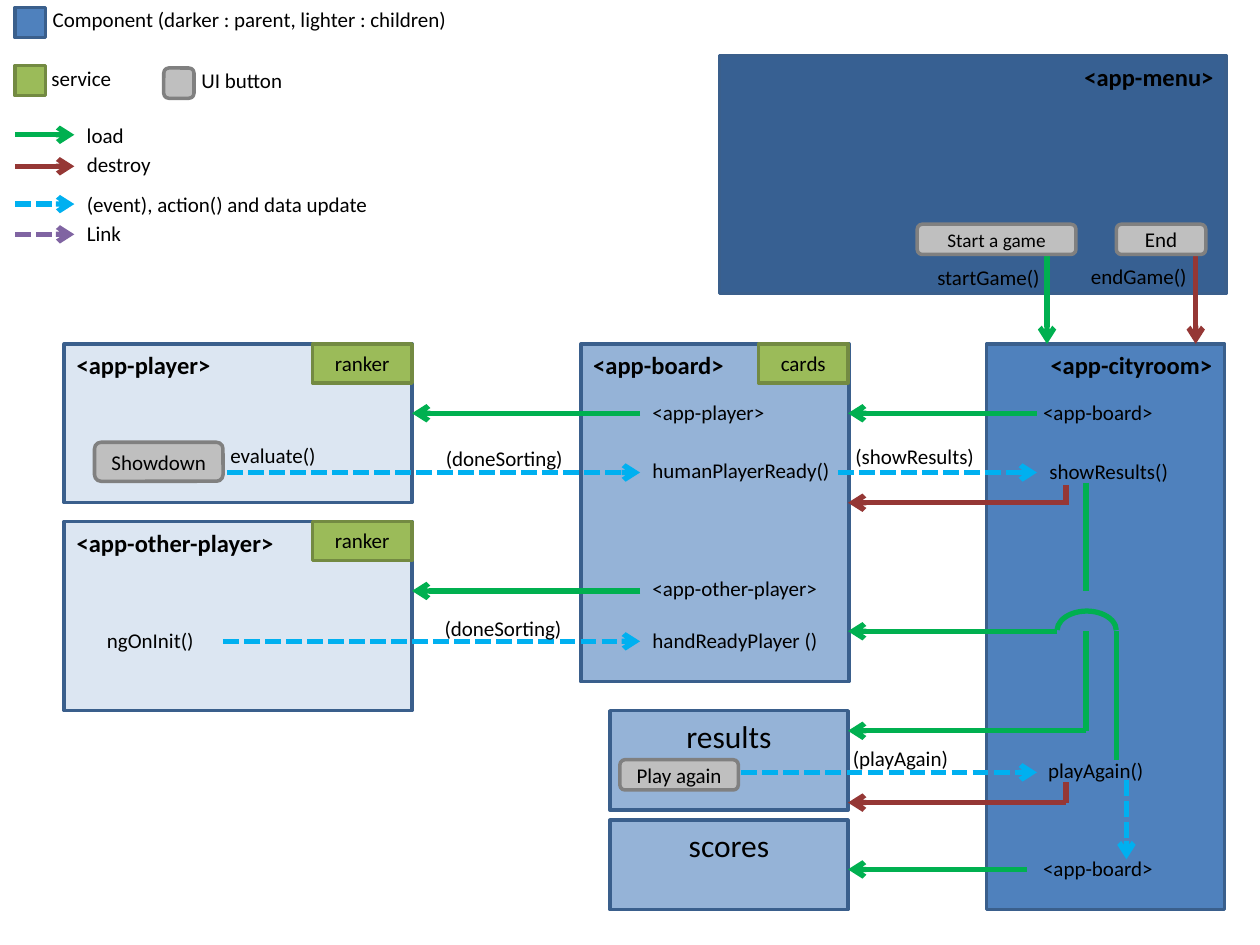
from lxml.etree import SubElement
from pptx import Presentation
from pptx.dml.color import RGBColor
from pptx.enum.dml import MSO_LINE
from pptx.enum.shapes import MSO_CONNECTOR, MSO_SHAPE
from pptx.enum.text import MSO_ANCHOR, MSO_AUTO_SIZE, PP_ALIGN
from pptx.oxml.ns import qn
from pptx.util import Inches, Pt

FONT = "Calibri"
BLACK = RGBColor(0, 0, 0)
MENU = RGBColor(0x37, 0x60, 0x92)
ROOM = RGBColor(0x4F, 0x81, 0xBD)
BOARD = RGBColor(0x95, 0xB3, 0xD7)
PLAYER = RGBColor(0xDC, 0xE6, 0xF2)
BLUE_EDGE = RGBColor(0x3A, 0x5F, 0x8C)
SERVICE = RGBColor(0x9B, 0xBB, 0x59)
SERVICE_EDGE = RGBColor(0x73, 0x8A, 0x42)
BUTTON = RGBColor(0xBF, 0xBF, 0xBF)
BUTTON_EDGE = RGBColor(0x80, 0x80, 0x80)
LOAD = RGBColor(0x00, 0xB0, 0x50)
DESTROY = RGBColor(0x95, 0x37, 0x35)
EVENT = RGBColor(0x00, 0xB0, 0xF0)
LINK = RGBColor(0x80, 0x64, 0xA2)
DASHED = (EVENT, LINK)

LEFT, CENTER, RIGHT = PP_ALIGN.LEFT, PP_ALIGN.CENTER, PP_ALIGN.RIGHT
HEADING = {"size": Pt(14), "bold": True}
PANEL = {"size": Pt(18)}
BODY = {"size": Pt(12)}
SMALL = {"size": Pt(11)}

# Shared edges of the diagram
TOP = 2.73
PLAYER_R, BOARD_R = 3.27, 6.73
BOARD_TEXT, ROOM_TEXT = 5.08, 8.23
KEY_X, KEY_TEXT = 0.12, 0.59
SWATCH = 0.24
LABEL_H = 0.3

# text, left, top, width, height, fill, alignment, font
COMPONENTS = [
    ("<app-cityroom>", 7.83, TOP, 1.89, 4.49, ROOM, RIGHT, HEADING),
    ("results", 4.84, 5.64, 1.89, 0.79, BOARD, CENTER, PANEL),
    ("<app-menu>", 5.71, 0.44, 4.02, 1.89, MENU, RIGHT, HEADING),
    ("", KEY_X, 0.06, SWATCH, SWATCH, ROOM, LEFT, BODY),
    ("<app-board>", 4.61, TOP, 2.13, 2.68, BOARD, LEFT, HEADING),
    ("<app-player>", 0.51, TOP, 2.76, 1.26, PLAYER, LEFT, HEADING),
    ("<app-other-player>", 0.51, 4.14, 2.76, 1.5, PLAYER, LEFT, HEADING),
    ("scores", 4.84, 6.51, 1.89, 0.71, BOARD, CENTER, PANEL),
]
# text, left, top, width, height
SERVICES = [
    ("", KEY_X, 0.52, SWATCH, SWATCH),
    ("ranker", 2.48, TOP, 0.79, 0.31),
    ("cards", 6.02, TOP, 0.71, 0.31),
    ("ranker", 2.48, 4.14, 0.79, 0.31),
]
# text, left, top, width, height, font
BUTTONS = [
    ("", 1.3, 0.54, SWATCH, SWATCH, BODY),
    ("End", 8.86, 1.78, 0.71, 0.24, BODY),
    ("Start a game", 7.28, 1.78, 1.26, 0.24, SMALL),
    ("Showdown", 0.75, 3.51, 1.02, 0.31, BODY),
    ("Play again", 4.92, 6.03, 0.94, 0.24, BODY),
]
# colour, from x, from y, to x, to y
ARROWS = [(color, KEY_X, y, KEY_TEXT, y) for color, y in
          ((LOAD, 1.07), (DESTROY, 1.32), (EVENT, 1.62), (LINK, 1.86))]
ARROWS += [
    (LOAD, 8.31, 2.02, 8.31, TOP),
    (DESTROY, 9.49, 2.02, 9.49, TOP),
    (LOAD, ROOM_TEXT, 3.28, BOARD_R, 3.28),
    (LOAD, BOARD_TEXT, 3.28, PLAYER_R, 3.28),
    (LOAD, BOARD_TEXT, 4.69, PLAYER_R, 4.69),
    (LOAD, 8.15, 6.9, BOARD_R, 6.9),
    (LOAD, 8.62, 5.8, BOARD_R, 5.8),
    (LOAD, 8.39, 5.01, BOARD_R, 5.01),
    (DESTROY, 8.46, 3.99, BOARD_R, 3.99),
    (DESTROY, 8.46, 6.37, BOARD_R, 6.37),
    (EVENT, 1.3, 3.75, BOARD_TEXT, 3.75),
    (EVENT, 6.65, 3.75, ROOM_TEXT, 3.75),
    (EVENT, 1.77, 5.09, BOARD_TEXT, 5.09),
    (EVENT, 5.55, 6.13, ROOM_TEXT, 6.13),
    (EVENT, 8.94, 6.19, 8.94, 6.82),
]
STEMS = [
    (DESTROY, 8.46, 3.85, 8.46, 4.01),
    (DESTROY, 8.46, 6.21, 8.46, 6.37),
    (LOAD, 8.62, 3.83, 8.62, 4.69),
    (LOAD, 8.62, 5.01, 8.62, 5.8),
    (LOAD, 8.86, 5.01, 8.86, 6.03),
]
# text, left, top, width
LABELS = [
    ("Component (darker : parent, lighter : children)", 0.32, 0, 3.35),
    ("service", 0.31, 0.47, 0.68),
    ("UI button", 1.5, 0.49, 0.85),
    ("load", KEY_TEXT, 0.92, 0.5),
    ("destroy", KEY_TEXT, 1.15, 0.71),
    ("(event), action() and data update", KEY_TEXT, 1.47, 2.45),
    ("Link", KEY_TEXT, 1.7, 0.48),
    ("startGame()", 7.34, 2.05, 1.02),
    ("endGame()", 8.56, 2.04, 0.97),
    ("<app-board>", 8.18, 3.12, 1.08),
    ("<app-player>", BOARD_TEXT, 3.12, 1.1),
    ("<app-other-player>", BOARD_TEXT, 4.52, 1.52),
    ("(doneSorting)", 3.44, 3.49, 1.14),
    ("evaluate()", 1.73, 3.46, 0.88),
    ("humanPlayerReady()", BOARD_TEXT, 3.58, 1.62),
    ("handReadyPlayer ()", BOARD_TEXT, 4.93, 1.52),
    ("(doneSorting)", 3.43, 4.84, 1.14),
    ("ngOnInit()", 0.75, 4.93, 0.89),
    ("(showResults)", 6.69, 3.47, 1.16),
    ("showResults()", ROOM_TEXT, 3.59, 1.16),
    ("(playAgain)", 6.67, 5.87, 0.96),
    ("playAgain()", 8.22, 5.96, 0.96),
    ("<app-board>", 8.18, 6.74, 1.08),
]


def write(sp, text, font, align=LEFT, anchor=MSO_ANCHOR.TOP):
    """Put one formatted line of text in a shape."""
    tf = sp.text_frame
    tf.vertical_anchor = anchor
    p = tf.paragraphs[0]
    p.alignment = align
    r = p.add_run()
    r.text = text
    r.font.color.rgb = BLACK
    for name, value in {"name": FONT, **font}.items():
        setattr(r.font, name, value)


def add_box(s, kind, place, fill, edge, width=2):
    """Add a preset shape, left unfilled when fill is None."""
    sp = s.shapes.add_shape(kind, *map(Inches, place))
    sp.shadow.inherit = False
    if fill is None:
        sp.fill.background()
    else:
        sp.fill.solid()
        sp.fill.fore_color.rgb = fill
    sp.line.color.rgb = edge
    sp.line.width = Pt(width)
    return sp


def add_line(s, color, *ends, arrow=False):
    """Add a straight line, dashed for events and links."""
    line = s.shapes.add_connector(MSO_CONNECTOR.STRAIGHT, *map(Inches, ends))
    line.line.color.rgb = color
    line.line.width = Pt(3)
    if color in DASHED:
        line.line.dash_style = MSO_LINE.SQUARE_DOT
    if arrow:
        SubElement(line.line._get_or_add_ln(), qn("a:tailEnd"), type="arrow")
    SubElement(line._element.spPr, qn("a:effectLst"))


def add_label(s, text, left, top, width):
    """Add a one-line text box that fits its text."""
    sp = s.shapes.add_textbox(*map(Inches, (left, top, width, LABEL_H)))
    sp.text_frame.word_wrap = False
    sp.text_frame.auto_size = MSO_AUTO_SIZE.SHAPE_TO_FIT_TEXT
    write(sp, text, BODY)


prs = Presentation()
prs.slide_width, prs.slide_height = Inches(10), Inches(7.5)
s = prs.slides.add_slide(prs.slide_layouts[6])

boxes = [(MSO_SHAPE.RECTANGLE, text, place, fill, BLUE_EDGE, font, align, MSO_ANCHOR.TOP)
         for text, *place, fill, align, font in COMPONENTS]
boxes += [(MSO_SHAPE.RECTANGLE, text, place, SERVICE, SERVICE_EDGE, BODY, CENTER, MSO_ANCHOR.TOP)
          for text, *place in SERVICES]
buttons = [(MSO_SHAPE.ROUNDED_RECTANGLE, text, place, BUTTON, BUTTON_EDGE, font, CENTER,
            MSO_ANCHOR.MIDDLE) for text, *place, font in BUTTONS]

for arrow in ARROWS[:0] + boxes:
    kind, text, place, fill, edge, *style = arrow
    sp = add_box(s, kind, place, fill, edge)
    if text:
        write(sp, text, *style)
for arrow in ARROWS:
    add_line(s, *arrow, arrow=True)
for stem in STEMS:
    add_line(s, *stem)
for kind, text, place, fill, edge, *style in buttons:
    sp = add_box(s, kind, place, fill, edge)
    if text:
        write(sp, text, *style)
for label in LABELS:
    add_label(s, *label)

bridge = add_box(s, MSO_SHAPE.ARC, (8.39, 4.85, 0.47, 0.31), None, LOAD, 3)
bridge.adjustments[0], bridge.adjustments[1] = 108.9, 215.5

prs.save("out.pptx")
